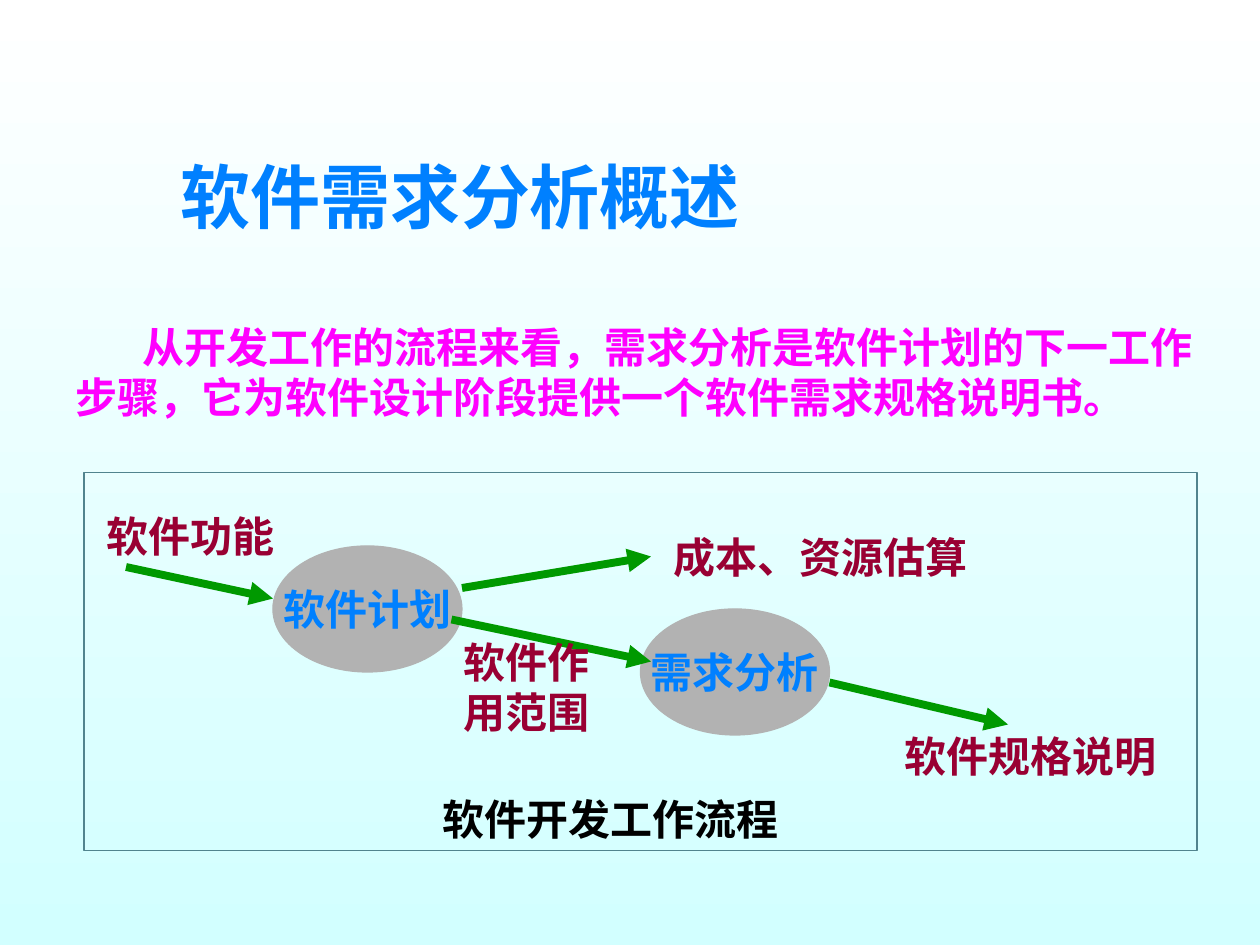
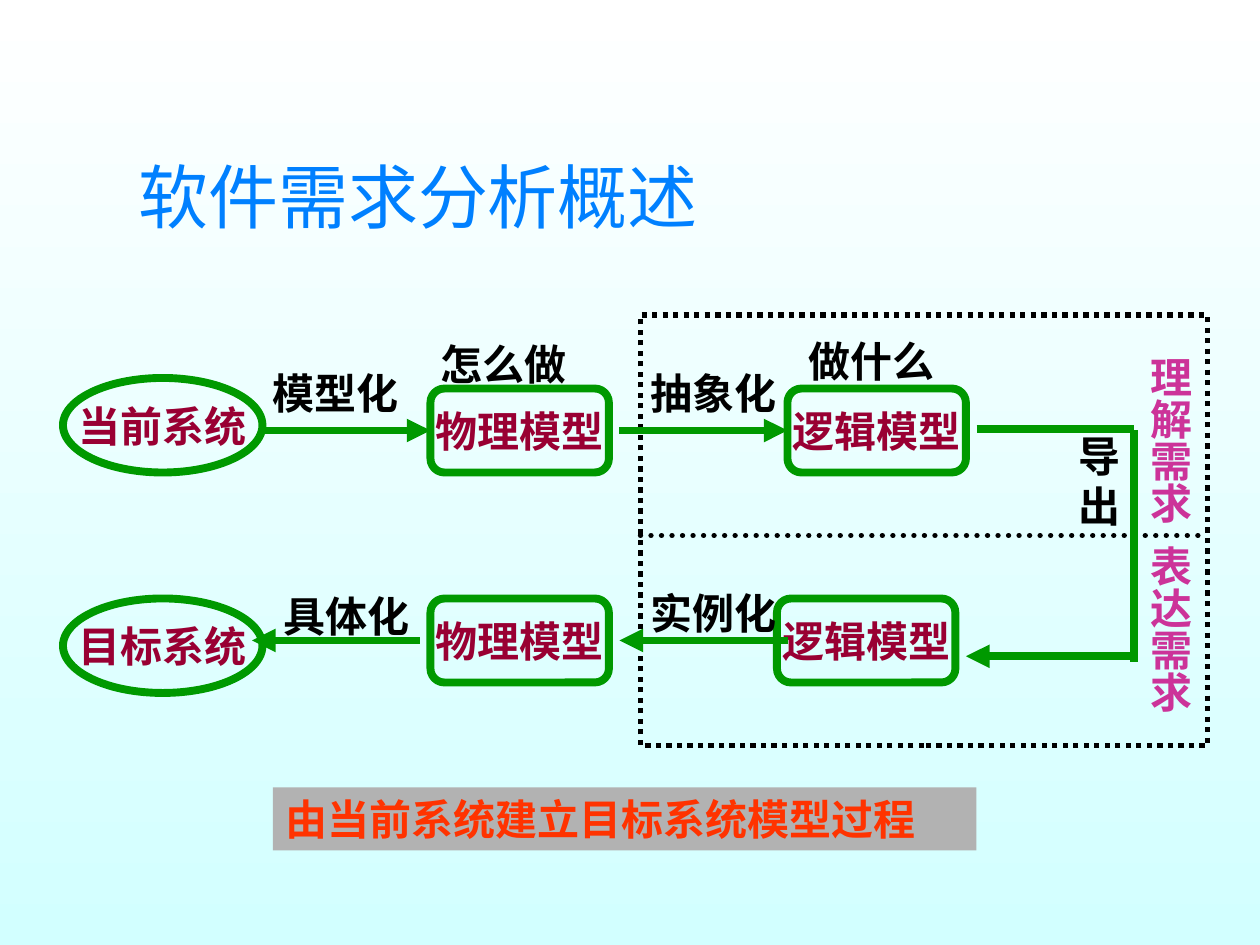
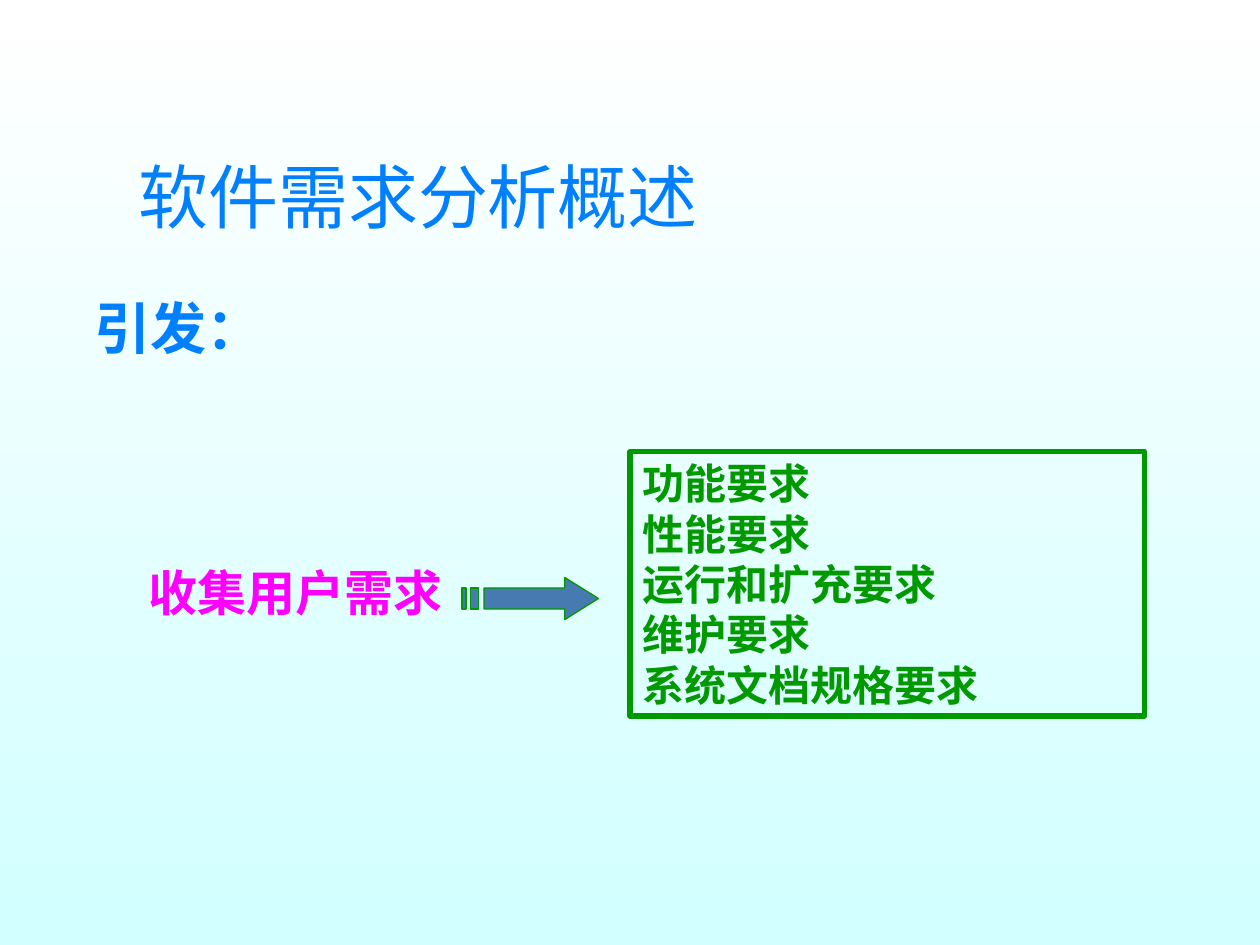
import pptx
import pptx.dml.color
import pptx.enum.dml
import pptx.enum.shapes
import pptx.enum.text
import pptx.oxml
import pptx.oxml.ns
import pptx.util

PX = 7620  # EMU in one px, 120 px to the inch
COLORS = {
    "top": "FFFFFF", "bottom": "D2FFFF", "blue": "0080FF", "magenta": "FF00FF",
    "green": "009900", "wine": "990033", "black": "000000", "grey": "B2B2B2",
    "frame": "51848E", "pink": "CC3399", "orange": "FF3300", "steel": "477AB1",
}
BODY, HEAD, SERIF = "Karla", "Noto Sans CJK SC", "Times New Roman"
INSET = (12, 6)
SHAPE = pptx.enum.shapes.MSO_SHAPE
DOTS = pptx.enum.dml.MSO_LINE.ROUND_DOT


def rgb(name):
    return pptx.dml.color.RGBColor.from_string(COLORS[name])


def emu(*lengths):
    return [n * PX for n in lengths]


def inside(box, x, y, *size):
    """Turn a place relative to box into a place on the slide."""
    return (box[0] + x, box[1] + y, *size)


def child(parent, tag, **attrs):
    el = pptx.oxml.parse_xml(f'<{tag} {pptx.oxml.ns.nsdecls("a")}/>')
    for key, value in attrs.items():
        el.set(key, value)
    parent.append(el)


def style_line(line, color, width, dash=None):
    line.color.rgb = rgb(color)
    for key, value in {"width": pptx.util.Pt(width), "dash_style": dash}.items():
        if value is not None:
            setattr(line, key, value)


def write(sp, lines, color, size=24, bold=True, font=BODY, inset=INSET,
          center=False, indent=0, spacing=None, vertical=False):
    """Fill a shape with paragraphs; a line is a string or a list of (text, font)."""
    tf = sp.text_frame
    anchor = pptx.enum.text.MSO_ANCHOR
    fmt = {
        "word_wrap": not center,
        "vertical_anchor": anchor.MIDDLE if center else anchor.TOP,
        "margin_left": inset[0] * PX, "margin_right": inset[0] * PX,
        "margin_top": inset[1] * PX, "margin_bottom": inset[1] * PX,
    }
    for key, value in fmt.items():
        setattr(tf, key, value)
    if vertical:
        tf._txBody.bodyPr.set("vert", "eaVert")
    align = pptx.enum.text.PP_ALIGN
    for i, line in enumerate(lines):
        p = tf.add_paragraph() if i else tf.paragraphs[0]
        p.alignment = align.CENTER if center else align.LEFT
        if spacing:
            p.line_spacing = spacing
        if indent:
            p._p.get_or_add_pPr().set("indent", str(indent * PX))
        for text, name in [(line, font)] if isinstance(line, str) else line:
            r = p.add_run()
            r.text = text
            for key, value in {"size": pptx.util.Pt(size), "bold": bold, "name": name}.items():
                setattr(r.font, key, value)
            r.font.color.rgb = rgb(color)
            child(r._r.get_or_add_rPr(), "a:ea", typeface=BODY)


def label(slide, box, text, color, **fmt):
    sp = slide.shapes.add_textbox(*emu(*box))
    write(sp, [text], color, **fmt)


def finish(sp, fill=None, line=None, width=0.75, dash=None):
    sp.shadow.inherit = False
    if fill:
        sp.fill.solid()
        sp.fill.fore_color.rgb = rgb(fill)
    else:
        sp.fill.background()
    if line:
        style_line(sp.line, line, width, dash)
    else:
        sp.line.fill.background()
    return sp


def shape(slide, kind, box, **look):
    return finish(slide.shapes.add_shape(kind, *emu(*box)), **look)


def connect(slide, start, end, color="green", width=4.5, head=True, dash=None, target=None):
    """Draw a straight line; target is a box whose left side it joins."""
    straight = pptx.enum.shapes.MSO_CONNECTOR.STRAIGHT
    line = slide.shapes.add_connector(straight, *emu(*start, *end))
    if target is not None:
        line.end_connect(target, 1)
    style_line(line.line, color, width, dash)
    ln = line.line._get_or_add_ln()
    if dash:
        ln.set("cap", "rnd")
    if head:
        child(ln, "a:tailEnd", type="triangle")
    child(line._element.spPr, "a:effectLst")


def title(slide, left, bold):
    label(slide, (left, 140, 780, 92), "软件需求分析概述", "blue", size=40, bold=bold, font=HEAD)


def workflow(slide, box):
    for x, y, text in [(180, 70, "软件计划"), (530, 130, "需求分析")]:
        sp = shape(slide, SHAPE.OVAL, inside(box, x, y, 180, 120), fill="grey", line="grey")
        write(sp, [text], "blue", center=True)
    arrows = [((40, 90), (180, 120)), ((350, 140), (540, 180)),
              ((710, 200), (880, 240)), ((360, 110), (540, 80))]
    for start, end in arrows:
        connect(slide, inside(box, *start), inside(box, *end))
    labels = [
        (10, 30, 210, 60, "软件功能", "wine"),
        (350, 150, 180, 108, "软件作用范围", "wine"),
        (550, 50, 350, 60, "成本、资源估算", "wine"),
        (770, 240, 350, 60, "软件规格说明", "wine"),
        (330, 300, 350, 60, "软件开发工作流程", "black"),
    ]
    for x, y, w, h, text, color in labels:
        label(slide, inside(box, x, y, w, h), text, color)
    shape(slide, SHAPE.RECTANGLE, box, line="frame")


def model_process(slide, box):
    def node(kind, x, y, w, h, text):
        sp = shape(slide, kind, inside(box, x, y, w, h), line="green", width=4.5)
        write(sp, [text], "wine", center=True)
        return sp

    shape(slide, SHAPE.RECTANGLE, inside(box, 550, 0, 540, 410),
          line="black", width=3, dash=DOTS)
    connect(slide, inside(box, 550, 210), inside(box, 1090, 210),
            color="black", width=3, head=False, dash=DOTS)

    for y, text in [(60, "当前系统"), (270, "目标系统")]:
        node(SHAPE.OVAL, 0, y, 190, 90, text)
    physical, logical, _, _ = [
        node(SHAPE.ROUNDED_RECTANGLE, x, y, 170, 80, text)
        for x, y, text in [(350, 70, "物理模型"), (690, 70, "逻辑模型"),
                           (350, 270, "物理模型"), (680, 270, "逻辑模型")]]

    for x1, x2, y, target in [(190, 350, 110, physical), (530, 690, 110, logical),
                              (340, 180, 310, None), (690, 530, 310, None)]:
        connect(slide, inside(box, x1, y), inside(box, x2, y), target=target)
    for start, end, head in [((870, 109), (1020, 109), False),
                             ((1020, 110), (1020, 330), False),
                             ((1020, 325), (860, 325), True)]:
        connect(slide, inside(box, *start), inside(box, *end), head=head)

    for x, y, text in [(200, 50, "模型化"), (360, 22, "怎么做"), (210, 262, "具体化"),
                       (560, 50, "抽象化"), (710, 20, "做什么"), (560, 260, "实例化")]:
        label(slide, inside(box, x, y, 130, 48), text, "black", inset=(0, 0))
    label(slide, inside(box, 967, 110, 30, 96), "导出", "black", inset=(0, 0))
    for y, text in [(40, "理解需求"), (220, "表达需求")]:
        label(slide, inside(box, 1030, y, 48, 190), text, "pink", inset=(0, 0), vertical=True)


def striped_arrow(slide, box):
    outlines = [
        [(98, 0), (98, 10), (21, 10), (21, 30), (98, 30), (98, 40), (130, 20)],
        [(8, 10), (8, 30), (16, 30), (16, 10)],
        [(0, 10), (0, 30), (4, 30), (4, 10)],
    ]
    first, *others = [[inside(box, *pt) for pt in outline] for outline in outlines]
    fb = slide.shapes.build_freeform(*first[0], scale=PX)
    fb.add_line_segments(first[1:], close=True)
    for points in others:
        fb.move_to(*points[0])
        fb.add_line_segments(points[1:], close=True)
    finish(fb.convert_to_shape(), fill="steel", line="green")


def requirements(slide, box):
    label(slide, inside(box, 0, 100, 330, 68), "收集用户需求", "magenta", size=28)
    striped_arrow(slide, inside(box, 310, 120))
    sp = shape(slide, SHAPE.RECTANGLE, inside(box, 470, 0, 490, 252), line="green", width=3)
    lines = [[(text, BODY), ("要", SERIF), ("求", BODY)] for text in ("功能", "性能")]
    lines += [[("运行和扩充要求", SERIF)], "维护要求", "系统文档规格要求"]
    write(sp, lines, "green")


def overview_slide(slide):
    title(slide, 160, True)
    label(slide, (60, 300, 1090, 108),
          "从开发工作的流程来看，需求分析是软件计划的下一工作步骤，"
          "它为软件设计阶段提供一个软件需求规格说明书。", "magenta", indent=64)
    workflow(slide, (80, 450, 1060, 360))


def model_slide(slide):
    title(slide, 120, False)
    model_process(slide, (60, 300, 1090, 410))
    sp = shape(slide, SHAPE.RECTANGLE, (260, 750, 670, 60), fill="grey")
    write(sp, ["由当前系统建立目标系统模型过程"], "orange")


def elicitation_slide(slide):
    title(slide, 120, False)
    requirements(slide, (130, 430, 960, 252))
    label(slide, (90, 270, 950, 73), "引发：", "blue", size=32, inset=(0, 0), spacing=1.15)


def main():
    prs = pptx.Presentation()
    prs.slide_width, prs.slide_height = emu(1200, 900)
    fill = prs.slide_master.background.fill
    fill.gradient()
    fill.gradient_angle = 270
    for stop, name, position in zip(fill.gradient_stops, ("top", "bottom"), (0, 1)):
        stop.color.rgb = rgb(name)
        stop.position = position
    for build in (overview_slide, model_slide, elicitation_slide):
        build(prs.slides.add_slide(prs.slide_layouts[6]))
    prs.save("out.pptx")


if __name__ == "__main__":
    main()
